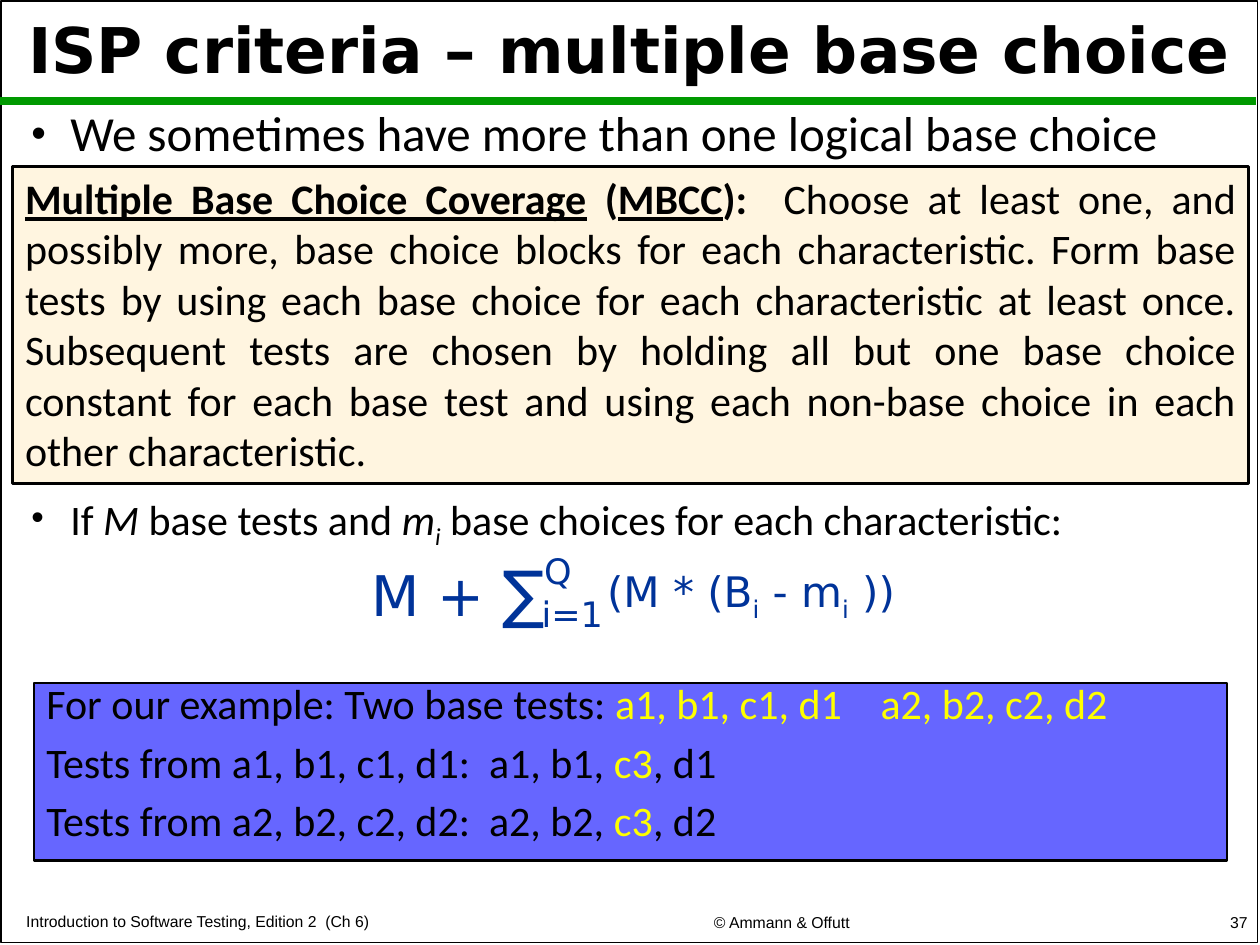
from dataclasses import dataclass
from lxml.etree import SubElement as Sub
from pptx import Presentation
from pptx.dml.color import RGBColor
from pptx.enum.shapes import MSO_CONNECTOR as Line, MSO_SHAPE as Form
from pptx.enum.text import MSO_ANCHOR as Anchor, PP_ALIGN as Align
from pptx.oxml.ns import qn
from pptx.util import Inches, Pt

BLACK, BLUE, YELLOW = "000000", "003399", "FFFF00"
SANS, BODY, FOOT = "DejaVu Sans", "Calibri", "Arial"


@dataclass
class Run:
    text: str
    size: float = 24
    font: str = BODY
    color: str = BLACK
    bold: bool = False
    under: bool = False
    slant: bool = False
    sub: bool = False


@dataclass
class Para:
    runs: list[Run]
    align: Align = Align.LEFT
    lead: float = 1.0
    gap: float = 0
    bullet: bool = False
    tab: float = 0


@dataclass
class Box:
    at: tuple[float, float, float, float]
    paras: list[Para]
    anchor: Anchor = Anchor.TOP
    fill: str = ""
    edge: float = 0


def paint(color: str) -> RGBColor:
    return RGBColor.from_string(color)


def add_run(para, run: Run) -> None:
    part = para.add_run()
    part.text = run.text
    font = part.font
    font.size, font.name = Pt(run.size), run.font
    font.bold, font.italic, font.underline = run.bold, run.slant, run.under
    font.color.rgb = paint(run.color)
    if run.sub:
        font._element.set("baseline", "-25000")


def add_para(para, item: Para) -> None:
    props = para._p.get_or_add_pPr()
    if item.bullet:
        props.set("marL", str(Inches(0.31)))
        props.set("indent", str(Inches(-0.31)))
        Sub(props, qn("a:buSzPct"), val="85000")
        Sub(props, qn("a:buFont"), typeface=FOOT)
        Sub(props, qn("a:buChar"), char="•")
    if item.tab:
        tabs = Sub(props, qn("a:tabLst"))
        Sub(tabs, qn("a:tab"), pos=str(Inches(item.tab)), algn="l")
    para.alignment, para.line_spacing = item.align, item.lead
    para.space_before = Pt(item.gap)
    for run in item.runs:
        add_run(para, run)


def add_box(shapes, box: Box) -> None:
    spot = [Inches(n) for n in box.at]
    if box.edge:
        shape = shapes.add_shape(Form.RECTANGLE, *spot)
        shape.shadow.inherit = False
        shape.line.color.rgb = paint(BLACK)
        shape.line.width = Pt(box.edge)
        if box.fill:
            shape.fill.solid()
            shape.fill.fore_color.rgb = paint(box.fill)
        else:
            shape.fill.background()
    else:
        shape = shapes.add_textbox(*spot)
    frame = shape.text_frame
    frame.word_wrap, frame.vertical_anchor = True, box.anchor
    for i, item in enumerate(box.paras):
        add_para(frame.add_paragraph() if i else frame.paragraphs[0], item)


def add_rule(shapes, y: float, end: float) -> None:
    rule = shapes.add_connector(
        Line.STRAIGHT, Inches(0), Inches(y), Inches(end), Inches(y))
    rule.line.color.rgb, rule.line.width = paint("009900"), Pt(4.5)
    Sub(rule._element.spPr, qn("a:effectLst"))


def foot(text: str, at: tuple, align: Align) -> Box:
    return Box(at, [Para([Run(text, 9, FOOT)], align)], Anchor.BOTTOM)


def math(text: str, size: float = 24, sub: bool = False) -> Run:
    return Run(text, size, SANS, BLUE, sub=sub)


def tests(base: str, start: str, end: str) -> Para:
    return Para([Run(f"Tests from {base}:  {start}, "),
                 Run("c3", color=YELLOW), Run(f", {end}")], lead=0.75, gap=12)


TITLE = Run("ISP criteria – multiple base choice", 36, SANS, bold=True)
INTRO = Run("We sometimes have more than one logical base choice", 28)
RULE = [
    Run("Multiple Base Choice Coverage", bold=True, under=True),
    Run(" (", bold=True),
    Run("MBCC", bold=True, under=True),
    Run("):  ", bold=True),
    Run("Choose at least one, and possibly more, base choice blocks for each "
        "characteristic. Form base tests by using each base choice for each "
        "characteristic at least once. Subsequent tests are chosen by holding "
        "all but one base choice constant for each base test and using each "
        "non-base choice in each other characteristic."),
]
COUNT = [
    Run("If "), Run("M", slant=True), Run(" base tests and "),
    Run("m", slant=True), Run("i", slant=True, sub=True),
    Run(" base choices for each characteristic:"),
]
CASES = [
    Para([Run("For our example: Two base tests: "),
          Run("a1, b1, c1, d1\ta2, b2, c2, d2", color=YELLOW)],
         lead=0.75, tab=6.62),
    tests("a1, b1, c1, d1", "a1, b1", "d1"),
    tests("a2, b2, c2, d2", "a2, b2", "d2"),
]
TERM = [math("(M * (B"), math("i", sub=True), math(" - m"),
        math("i", sub=True), math(" ))")]

PAGE = [
    foot("© Ammann & Offutt", (4.62, 7.17, 3.17, 0.27), Align.CENTER),
    foot("37", (7.92, 7.16, 2.08, 0.28), Align.RIGHT),
    Box((0.01, 0.11, 9.97, 0.63), [Para([TITLE], Align.CENTER, 0.9)],
        Anchor.MIDDLE),
    Box((0.15, 0.82, 9.7, 0.53), [Para([INTRO], lead=0.9, bullet=True)]),
    Box((0.1, 1.32, 9.81, 2.52), [Para(RULE, Align.JUSTIFY)],
        fill="FFF5E0", edge=1.5),
    Box((0.15, 3.87, 9.7, 0.6), [Para(COUNT, lead=0.9, bullet=True)]),
    foot("Introduction to Software Testing, Edition 2  (Ch 6)",
         (0.11, 7.18, 4.31, 0.26), Align.LEFT),
    Box((0.27, 5.42, 9.47, 1.41), CASES, fill="6666FF", edge=1.5),
]
SUM = [
    Box((2.44, 4.34, 1.98, 0.7),
        [Para([math("M + ", 32), math("∑", 36)], Align.RIGHT)]),
    Box((4.22, 4.31, 0.48, 0.43), [Para([math("Q", 20)])]),
    Box((4.2, 4.65, 0.74, 0.44), [Para([math("i=1", 20)])]),
    Box((4.72, 4.44, 2.84, 0.51), [Para(TERM)]),
]


def main() -> None:
    deck = Presentation()
    deck.slide_width, deck.slide_height = Inches(10), Inches(7.5)
    shapes = deck.slides.add_slide(deck.slide_layouts[6]).shapes
    add_box(shapes, Box((0.01, 0.01, 9.97, 7.47), [], edge=1))
    add_rule(shapes, 0.8, 9.97)
    for box in PAGE:
        add_box(shapes, box)
    group = shapes.add_group_shape()
    for box in SUM:
        add_box(group.shapes, box)
    deck.save("out.pptx")


if __name__ == "__main__":
    main()
